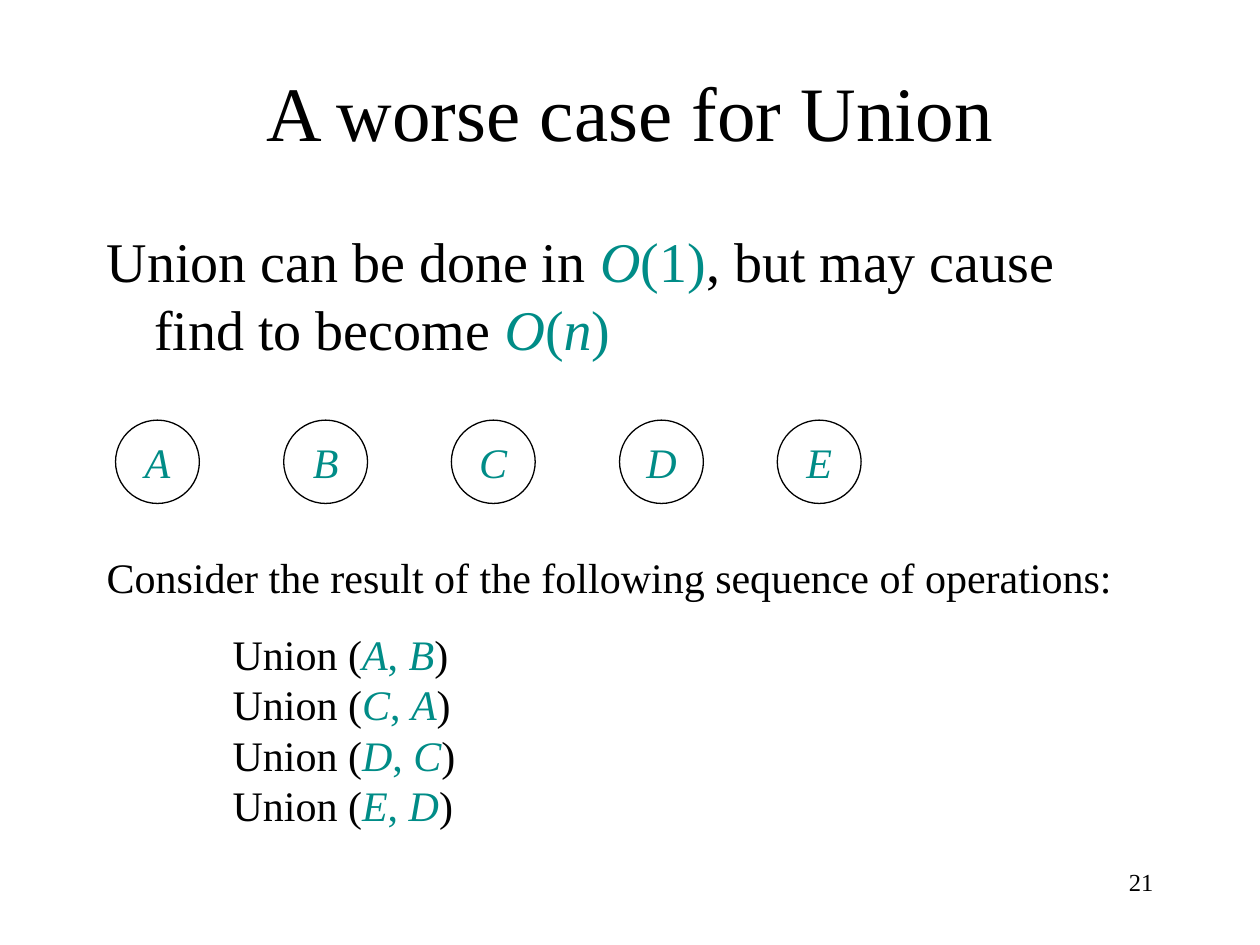
from pptx import Presentation
from pptx.dml.color import RGBColor
from pptx.enum.shapes import MSO_SHAPE
from pptx.enum.text import MSO_ANCHOR, PP_ALIGN
from pptx.util import Cm, Pt

OVAL = MSO_SHAPE.OVAL
TOP, MIDDLE = MSO_ANCHOR.TOP, MSO_ANCHOR.MIDDLE
LEFT, CENTER, RIGHT = PP_ALIGN.LEFT, PP_ALIGN.CENTER, PP_ALIGN.RIGHT
FONT, BLACK, TEAL = "Times New Roman", "000000", "008C87"

# Content: a run is (text, style)
STYLES = {
    "plain": {"color": BLACK, "italic": False},
    "math": {"color": TEAL, "italic": False},
    "var": {"color": TEAL, "italic": True},
}
TITLE = [("A worse case for Union", "plain")]
CLAIM = [
    ("Union can be done in ", "plain"), ("O", "var"), ("(1)", "math"),
    (", but may cause find to become ", "plain"),
    ("O", "var"), ("(", "math"), ("n", "var"), (")", "math"),
]
NODES = [("A", 2.33), ("B", 5.72), ("C", 9.1), ("D", 12.49), ("E", 15.67)]
NODE_TOP, NODE_WIDTH, NODE_HEIGHT = 8.47, 1.69, 1.68
INTRO = [("Consider the result of the following sequence of operations:", "plain")]
UNIONS = [("A", "B"), ("C", "A"), ("D", "C"), ("E", "D")]
PAGE = [("21", "plain")]


def rgb(value):
    return RGBColor.from_string(value)


def write(tf, paragraphs, size, align=LEFT, anchor=TOP, wrap=True):
    """Fill a frame with (runs, space before, left margin, indent) paragraphs."""
    tf.word_wrap, tf.vertical_anchor = wrap, anchor
    for i, (runs, before, margin, indent) in enumerate(paragraphs):
        p = tf.paragraphs[0] if i == 0 else tf.add_paragraph()
        p.alignment, p.space_before = align, Pt(before)
        pPr = p._p.get_or_add_pPr()
        pPr.set("marL", str(Cm(margin)))
        pPr.set("indent", str(Cm(indent)))
        for text, style in runs:
            r = p.add_run()
            r.text = text
            r.font.color.rgb = rgb(STYLES[style]["color"])
            values = {"name": FONT, "size": Pt(size), "italic": STYLES[style]["italic"]}
            for name, value in values.items():
                setattr(r.font, name, value)


def add_text(s, box, paragraphs, size, **options):
    tb = s.shapes.add_textbox(*map(Cm, box))
    write(tb.text_frame, paragraphs, size, **options)


def line(runs, before=0, margin=0, indent=0):
    return runs, before, margin, indent


def union(a, b):
    return [("Union (", "plain"), (a, "var"), (", ", "math"), (b, "var"), (")", "plain")]


prs = Presentation()
prs.slide_width, prs.slide_height = Cm(25.4), Cm(19.05)
s = prs.slides.add_slide(prs.slide_layouts[6])

# Title and claim
add_text(s, (1.9, 0.64, 21.6, 3.18), [line(TITLE)], 44, align=CENTER, anchor=MIDDLE)
add_text(s, (1.9, 4.45, 21.6, 3.18), [line(CLAIM, margin=0.96, indent=-0.96)], 32)

# Row of set nodes
for name, left in NODES:
    sp = s.shapes.add_shape(OVAL, Cm(left), Cm(NODE_TOP), Cm(NODE_WIDTH), Cm(NODE_HEIGHT))
    sp.shadow.inherit = False
    sp.fill.background()
    sp.line.color.rgb = rgb(BLACK)
    sp.line.width = Pt(0.75)
    write(sp.text_frame, [line([(name, "var")])], 24, align=CENTER, anchor=MIDDLE, wrap=False)

# Sequence of operations, one tab in
steps = [line(union(*pair), before=0 if i else 15, margin=2.54) for i, pair in enumerate(UNIONS)]
add_text(s, (1.9, 11, 22, 5.87), [line(INTRO)] + steps, 24)

# Page number
add_text(s, (18.2, 17.36, 5.3, 1.27), [line(PAGE)], 14, align=RIGHT)

prs.save("out.pptx")
